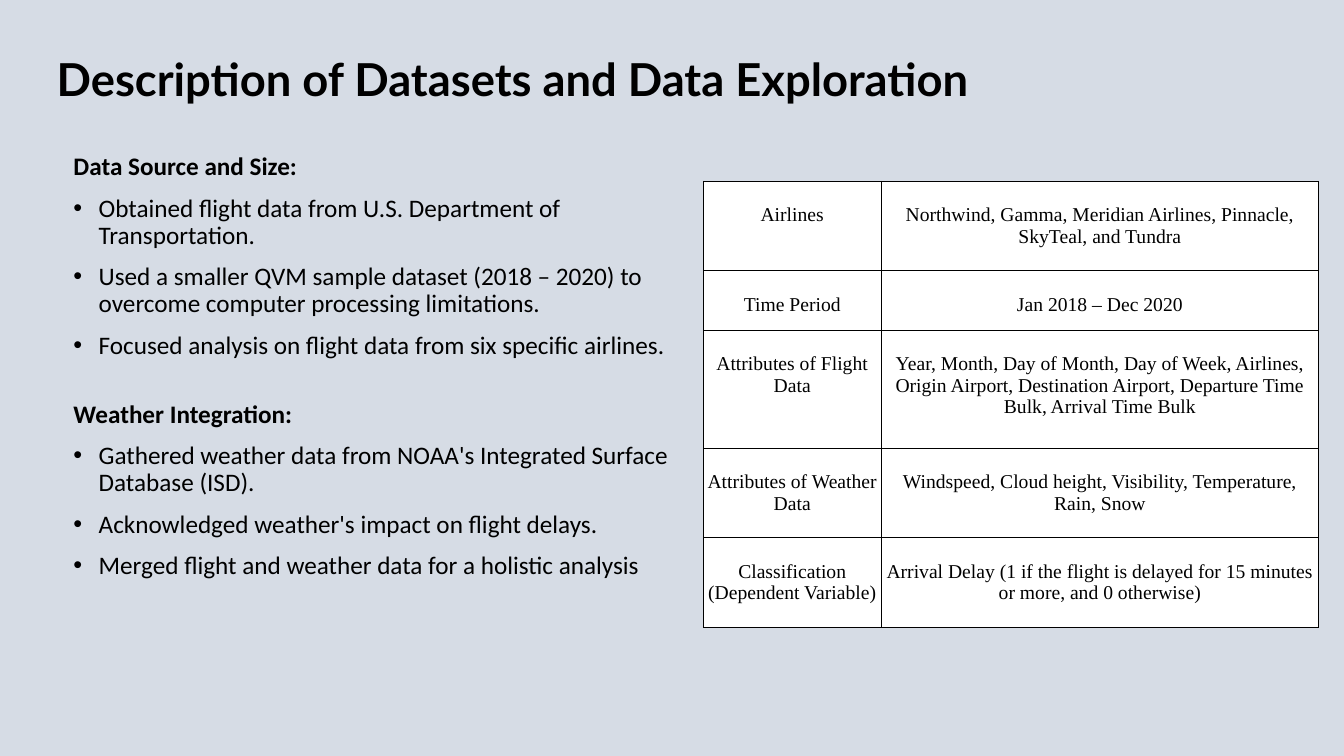
from lxml.etree import SubElement
from pptx import Presentation
from pptx.dml.color import RGBColor
from pptx.enum.text import MSO_ANCHOR, PP_ALIGN
from pptx.oxml.ns import qn
from pptx.util import Pt

BLACK, WHITE, PALE_BLUE = "000000", "FFFFFF", "D6DCE5"

SECTIONS = [
    ("Data Source and Size:", [
        "Obtained flight data from U.S. Department of Transportation.",
        "Used a smaller QVM sample dataset (2018 – 2020) to overcome computer processing limitations.",
        "Focused analysis on flight data from six specific airlines.",
    ]),
    ("Weather Integration:", [
        "Gathered weather data from NOAA's Integrated Surface Database (ISD).",
        "Acknowledged weather's impact on flight delays.",
        "Merged flight and weather data for a holistic analysis",
    ]),
]
# Row height, attribute, description
DATASET_ROWS = [
    (64, "Airlines", "Northwind, Gamma, Meridian Airlines, Pinnacle, SkyTeal, and Tundra"),
    (42.4, "Time Period", "Jan 2018 – Dec 2020"),
    (84.4, "Attributes of Flight Data",
     "Year, Month, Day of Month, Day of Week, Airlines, Origin Airport, "
     "Destination Airport, Departure Time Bulk, Arrival Time Bulk"),
    (64, "Attributes of Weather Data",
     "Windspeed, Cloud height, Visibility, Temperature, Rain, Snow"),
    (64, "Classification (Dependent Variable)",
     "Arrival Delay (1 if the flight is delayed for 15 minutes or more, and 0 otherwise)"),
]


def color(hex_code):
    return RGBColor.from_string(hex_code)


def add_span(para, text, font, size, bold=False):
    span = para.add_run()
    span.text = text
    span.font.name = font
    span.font.size = Pt(size)
    span.font.bold = bold
    span.font.color.rgb = color(BLACK)


deck = Presentation()
deck.slide_width, deck.slide_height = Pt(960), Pt(540)
page = deck.slides.add_slide(deck.slide_layouts[6])
page.background.fill.solid()
page.background.fill.fore_color.rgb = color(PALE_BLUE)

# Title
title = page.shapes.add_textbox(Pt(33.4), Pt(36), Pt(822), Pt(44.6)).text_frame
title.word_wrap = True
title.vertical_anchor = MSO_ANCHOR.MIDDLE
title.paragraphs[0].line_spacing = 0.9
add_span(title.paragraphs[0], "Description of Datasets and Data Exploration", "Lato", 32.4, True)

# Headings with bullets
body = page.shapes.add_textbox(Pt(45.4), Pt(106.6), Pt(442.8), Pt(342.7)).text_frame
body.word_wrap = True
for section, (heading, points) in enumerate(SECTIONS):
    para = body.add_paragraph() if section else body.paragraphs[0]
    para.line_spacing = 0.9
    para.space_before = Pt(30 if section else 10)
    add_span(para, heading, "Calibri", 18, True)
    for point in points:
        para = body.add_paragraph()
        para.line_spacing = 0.9
        para.space_before = Pt(10)
        add_span(para, point, "Calibri", 18)
        properties = para._p.get_or_add_pPr()
        properties.set("marL", str(Pt(18)))
        properties.set("indent", str(-Pt(18)))
        SubElement(properties, qn("a:buFont"), typeface="Arial")
        SubElement(properties, qn("a:buChar"), char="•")

# Dataset table
total_height = sum(row[0] for row in DATASET_ROWS)
table = page.shapes.add_table(len(DATASET_ROWS), 2, Pt(502.4), Pt(129.4),
                              Pt(439.6), Pt(total_height)).table
table.first_row = table.horz_banding = False
table.columns[0].width, table.columns[1].width = Pt(127), Pt(312.6)
for row, (height, *texts) in enumerate(DATASET_ROWS):
    table.rows[row].height = Pt(height)
    for column, text in enumerate(texts):
        cell = table.cell(row, column)
        cell.margin_left = cell.margin_right = Pt(0.7)
        cell.margin_top, cell.margin_bottom = Pt(16.3), 0
        para = cell.text_frame.paragraphs[0]
        para.alignment = PP_ALIGN.CENTER
        add_span(para, text, "Times New Roman", 14)
        for side in ("lnL", "lnR", "lnT", "lnB"):
            border = SubElement(cell._tc.get_or_add_tcPr(), qn(f"a:{side}"), w=str(Pt(0.5)))
            SubElement(SubElement(border, qn("a:solidFill")), qn("a:srgbClr"), val=BLACK)
        cell.fill.solid()
        cell.fill.fore_color.rgb = color(WHITE)

deck.save("out.pptx")
